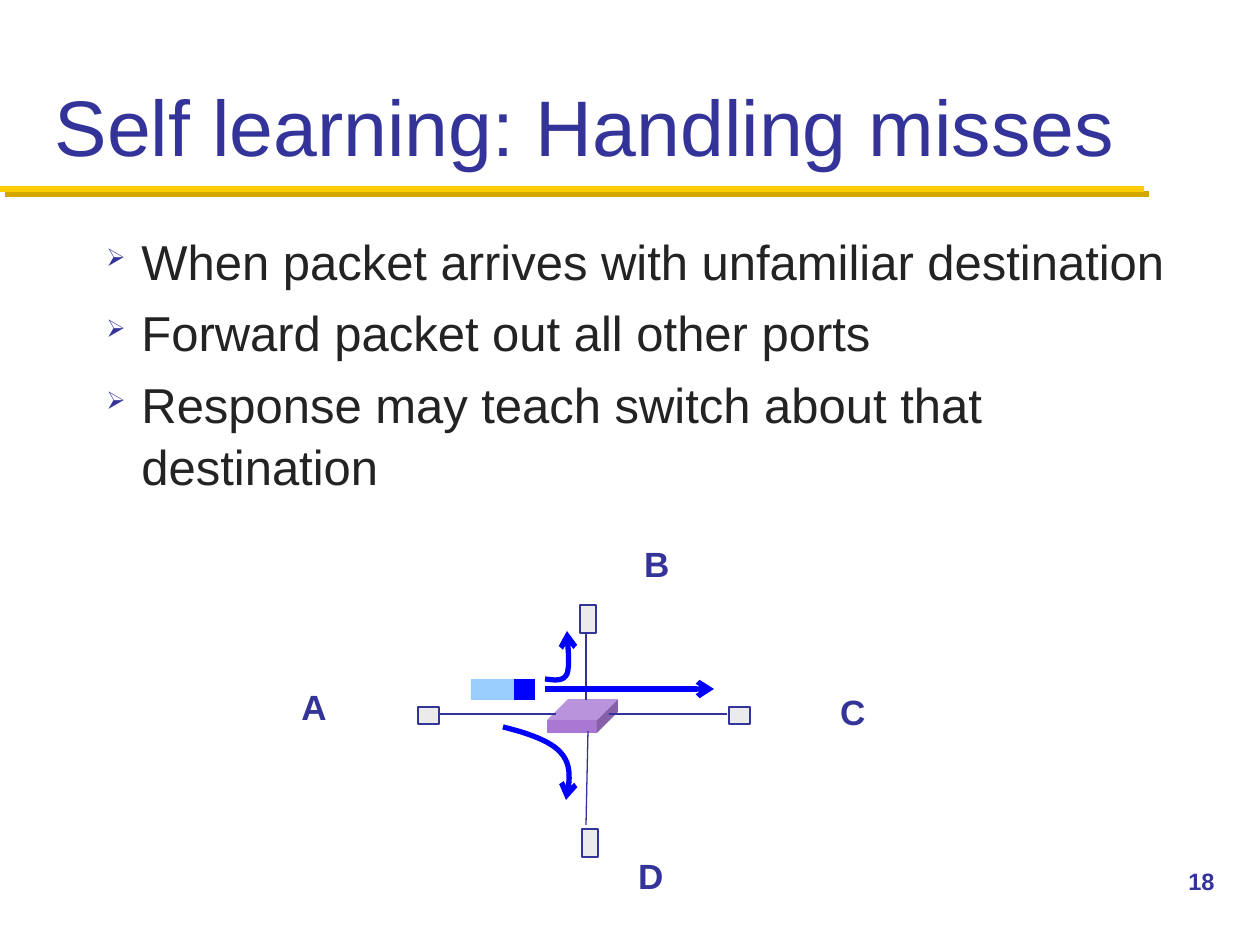
import pptx
import pptx.util
import pptx.dml.color
import pptx.enum.shapes
import pptx.enum.text
import pptx.oxml
import pptx.oxml.ns

EMU_PER_PX = 914400 / 126
KINDS = pptx.enum.shapes.MSO_SHAPE
ANCHOR = pptx.enum.text.MSO_ANCHOR
ALIGN = pptx.enum.text.PP_ALIGN
hue = pptx.dml.color.RGBColor.from_string
NAVY, BLUE = "333399", "0000FF"


def px(*lengths):
    return [round(length * EMU_PER_PX) for length in lengths]


def add_xml(parent, markup):
    head, _, rest = markup.partition(" ")
    declared = f"{head} {pptx.oxml.ns.nsdecls('a')} {rest}"
    parent.append(pptx.oxml.parse_xml(declared))


deck = pptx.Presentation()
deck.slide_width, deck.slide_height = px(1260, 945)
slide = deck.slides.add_slide(deck.slide_layouts[5])
shapes = slide.shapes

rule = shapes.add_connector(pptx.enum.shapes.MSO_CONNECTOR.STRAIGHT, *px(0, 189, 1144, 189))
rule.line.color.rgb = hue("FFCB05")
rule.line.width = pptx.util.Pt(3.5)
add_xml(
    rule._element.spPr,
    '<a:effectLst ><a:outerShdw blurRad="0" dist="53340" dir="2700000" algn="ctr" rotWithShape="0">'
    '<a:srgbClr val="D3A600"/></a:outerShdw></a:effectLst>',
)

title = shapes.title
title.left, title.top, title.width, title.height = px(42, 21, 1176, 158)
title.text_frame.text = "Self learning: Handling misses"
body = shapes.add_textbox(*px(94, 222, 1092, 608))
body.text_frame.text = "\n".join([
    "When packet arrives with unfamiliar destination",
    "Forward packet out all other ports",
    "Response may teach switch about that destination",
])
page_number = shapes.add_textbox(*px(1176, 861, 84, 63))
page_number.text_frame.text = "18"

for index, point in enumerate(body.text_frame.paragraphs):
    properties = point._p.get_or_add_pPr()
    indent = px(35)[0]
    properties.set("marL", str(indent))
    properties.set("indent", str(-indent))
    point.line_spacing = 1.05
    if index:
        point.space_before = pptx.util.Pt(5.6)
    add_xml(properties, f'<a:buClr ><a:srgbClr val="{NAVY}"/></a:buClr>')
    add_xml(properties, '<a:buSzPct val="50000"/>')
    add_xml(properties, '<a:buChar char="➢"/>')

host_labels = []
for name, left, top in [("A", 289, 679), ("B", 632, 536), ("C", 828, 684), ("D", 626, 848)]:
    label = shapes.add_textbox(*px(left, top, 50, 54))
    label.text_frame.text = name
    host_labels.append(label)

text_formats = [
    (title, NAVY, {"size": 45, "bold": False}, {"vertical_anchor": ANCHOR.BOTTOM, "word_wrap": True}, ALIGN.LEFT),
    (body, "232323", {"size": 28, "bold": False}, {"vertical_anchor": ANCHOR.TOP, "word_wrap": True}, ALIGN.LEFT),
    (page_number, NAVY, {"size": 13.5, "bold": True}, {"vertical_anchor": ANCHOR.TOP, "word_wrap": True}, ALIGN.LEFT),
]
for label in host_labels:
    text_formats.append((label, NAVY, {"size": 20, "bold": True}, {"word_wrap": False}, ALIGN.CENTER))

for holder, color, font_format, frame_format, alignment in text_formats:
    frame = holder.text_frame
    frame.auto_size = pptx.enum.text.MSO_AUTO_SIZE.NONE
    for attribute, value in frame_format.items():
        setattr(frame, attribute, value)
    for paragraph in frame.paragraphs:
        paragraph.alignment = alignment
        font_values = {**font_format, "size": pptx.util.Pt(font_format["size"]), "name": "Arial"}
        for attribute, value in font_values.items():
            setattr(paragraph.font, attribute, value)
        paragraph.font.color.rgb = hue(color)

blocks = [
    (KINDS.CUBE, (547, 699, 71, 34), "A878D2", None),
    (KINDS.RECTANGLE, (418, 707, 21, 17), "EBEBEB", NAVY),
    (KINDS.RECTANGLE, (729, 707, 21, 17), "EBEBEB", NAVY),
    (KINDS.RECTANGLE, (580, 605, 16, 28), "EBEBEB", NAVY),
    (KINDS.RECTANGLE, (582, 829, 16, 28), "EBEBEB", NAVY),
    (KINDS.RECTANGLE, (471, 679, 63, 21), "99CCFF", None),
    (KINDS.RECTANGLE, (514, 679, 21, 21), BLUE, None),
]
for kind, place, fill, outline in blocks:
    block = shapes.add_shape(kind, *px(*place))
    block.shadow.inherit = False
    block.fill.solid()
    block.fill.fore_color.rgb = hue(fill)
    if outline:
        block.line.color.rgb = hue(outline)
        block.line.width = pptx.util.Pt(0.75)
    else:
        block.line.fill.background()
    if kind == KINDS.CUBE:
        block.adjustments[0] = 0.62

links = [
    ((440, 714, 556, 714), NAVY, 0.75),
    ((586, 634, 586, 700), NAVY, 0.75),
    ((727, 714, 609, 714), NAVY, 0.75),
    ((586, 825, 588, 731), NAVY, 0.75),
    ((545, 689, 714, 689), BLUE, 3),
]
flows = []
for ends, color, width in links:
    link = shapes.add_connector(pptx.enum.shapes.MSO_CONNECTOR.STRAIGHT, *px(*ends))
    link.line.color.rgb = hue(color)
    link.line.width = pptx.util.Pt(width)
    add_xml(link._element.spPr, "<a:effectLst />")
    if color == BLUE:
        flows.append(link)

curves = [
    [(545, 679), (554, 680), (563, 682), (567, 674), (570, 665), (568, 649), (567, 631)],
    [(503, 727), (527, 733), (551, 741), (561, 753), (572, 765), (570, 782), (566, 800)],
]
STEPS = 12
for knots in curves:
    points = []
    for first in (0, 3):
        bezier = knots[first:first + 4]
        for step in range(1, STEPS + 1):
            t = step / STEPS
            weights = ((1 - t) ** 3, 3 * t * (1 - t) ** 2, 3 * t * t * (1 - t), t ** 3)
            points.append(px(*(sum(w * knot[axis] for w, knot in zip(weights, bezier)) for axis in (0, 1))))
    outline = shapes.build_freeform(*px(*knots[0]))
    outline.add_line_segments(points, close=False)
    flow = outline.convert_to_shape()
    flow.shadow.inherit = False
    flow.fill.background()
    flow.line.color.rgb = hue(BLUE)
    flow.line.width = pptx.util.Pt(3)
    flows.append(flow)

for flow in flows:
    add_xml(flow.line._get_or_add_ln(), '<a:tailEnd type="arrow"/>')

deck.save("out.pptx")
